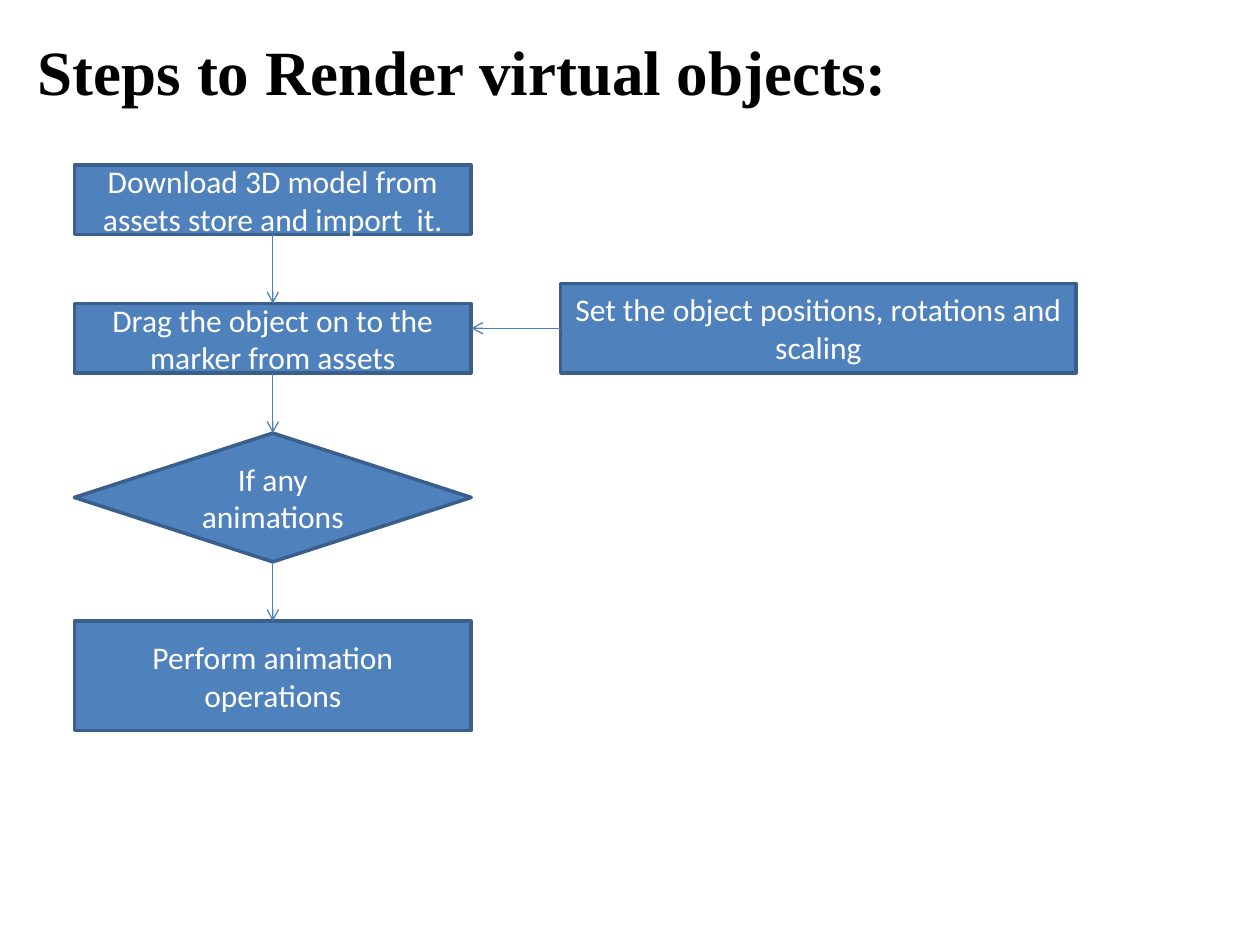
"""Build the flowchart slide on rendering virtual objects."""
from lxml import etree
from pptx import Presentation
from pptx.dml.color import RGBColor
from pptx.enum.shapes import MSO_CONNECTOR, MSO_SHAPE
from pptx.enum.text import MSO_ANCHOR, MSO_AUTO_SIZE, PP_ALIGN
from pptx.oxml.ns import qn
from pptx.util import Pt

RECT, DIAMOND = MSO_SHAPE.RECTANGLE, MSO_SHAPE.DIAMOND
STRAIGHT = MSO_CONNECTOR.STRAIGHT
TOP, MIDDLE = MSO_ANCHOR.TOP, MSO_ANCHOR.MIDDLE
LEFT, CENTER = PP_ALIGN.LEFT, PP_ALIGN.CENTER

TITLE = "Steps to Render virtual objects:"
STEP_LEFT, STEP_WIDTH = 42.5, 226.8
STEPS = [
    ("Download 3D model from assets store and import  it.", RECT, 94.3, 39.6),
    ("Drag the object on to the marker from assets", RECT, 173.5, 39.6),
    ("If any animations", DIAMOND, 247.5, 73.6),
    ("Perform animation operations", RECT, 355, 62.6),
]
SIDE_TEXT = "Set the object positions, rotations and scaling"
SIDE_BOX = (320.4, 162, 294.5, 51.1)


def color(hex_code):
    return RGBColor.from_string(hex_code)


def write(shape, text, font, size, hex_code, align, anchor, bold=False):
    tf = shape.text_frame
    tf.text = text
    tf.word_wrap = True
    tf.auto_size = MSO_AUTO_SIZE.NONE
    tf.vertical_anchor = anchor
    p = tf.paragraphs[0]
    p.alignment = align
    f = p.runs[0].font
    f.name, f.size, f.bold = font, Pt(size), bold
    f.color.rgb = color(hex_code)


def add_box(s, text, kind, x, y, w, h):
    sp = s.shapes.add_shape(kind, Pt(x), Pt(y), Pt(w), Pt(h))
    sp.shadow.inherit = False
    sp.fill.solid()
    sp.fill.fore_color.rgb = color("4F81BD")
    sp.line.color.rgb = color("3A5F8C")
    sp.line.width = Pt(2)
    write(sp, text, "Calibri", 18, "FFFFFF", CENTER, MIDDLE)
    return sp


def add_arrow(s, start, start_site, end, end_site=None, end_point=(0, 0)):
    c = s.shapes.add_connector(STRAIGHT, 0, 0, *end_point)
    c.begin_connect(start, start_site)
    if end_site is not None:
        c.end_connect(end, end_site)
    c.line.color.rgb = color("4B7EBC")
    c.line.width = Pt(0.75)
    etree.SubElement(c.line._get_or_add_ln(), qn("a:tailEnd"), type="arrow")
    etree.SubElement(c._element.spPr, qn("a:effectLst"))


prs = Presentation()
prs.slide_width, prs.slide_height = Pt(720), Pt(540)
s = prs.slides.add_slide(prs.slide_layouts[5])

title = s.shapes.title
title.left, title.top, title.width, title.height = Pt(14.4), Pt(15.1), Pt(686), Pt(181.4)
write(title, TITLE, "Times New Roman", 36, "000000", LEFT, TOP, bold=True)

boxes = [add_box(s, text, kind, STEP_LEFT, y, STEP_WIDTH, h) for text, kind, y, h in STEPS]
for upper, lower in zip(boxes, boxes[1:]):
    add_arrow(s, upper, 2, lower, 0)

side = add_box(s, SIDE_TEXT, RECT, *SIDE_BOX)
side_middle = SIDE_BOX[1] + SIDE_BOX[3] / 2
add_arrow(s, side, 1, boxes[1], end_point=(Pt(STEP_LEFT + STEP_WIDTH), Pt(side_middle)))

prs.save("out.pptx")
